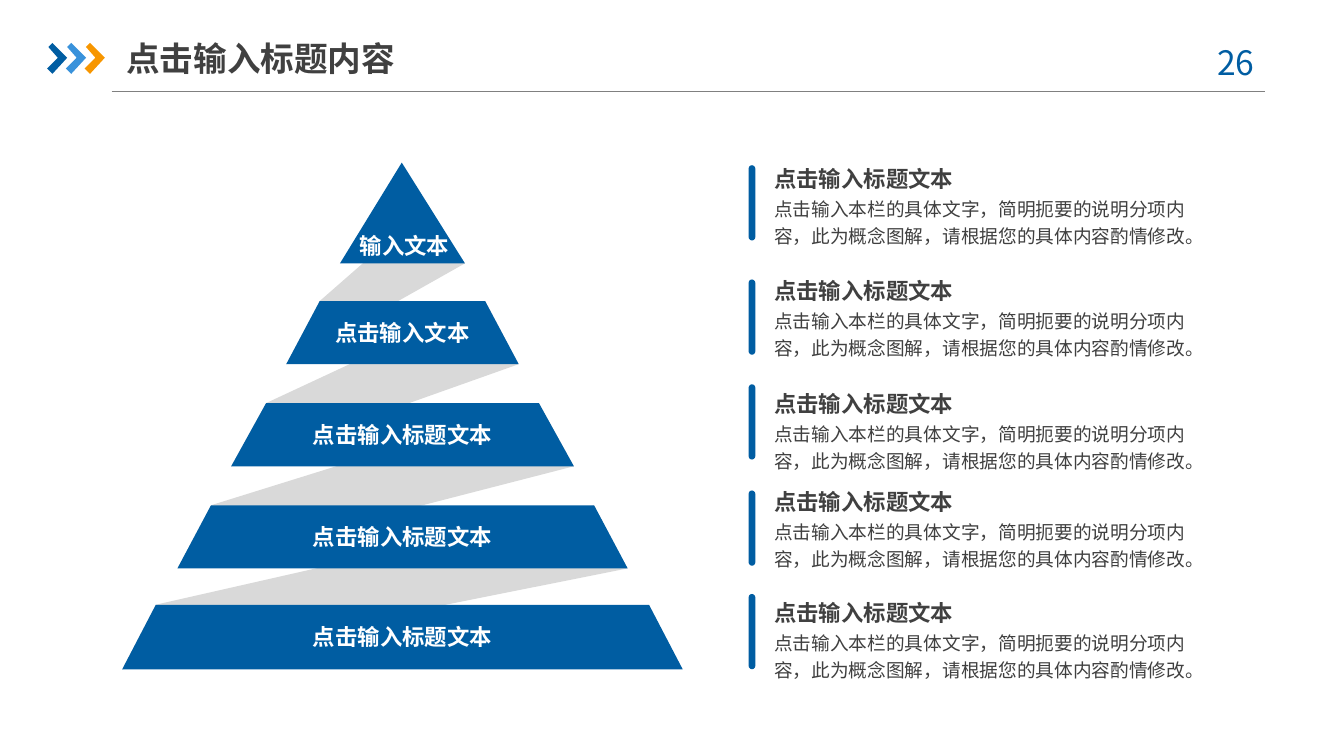
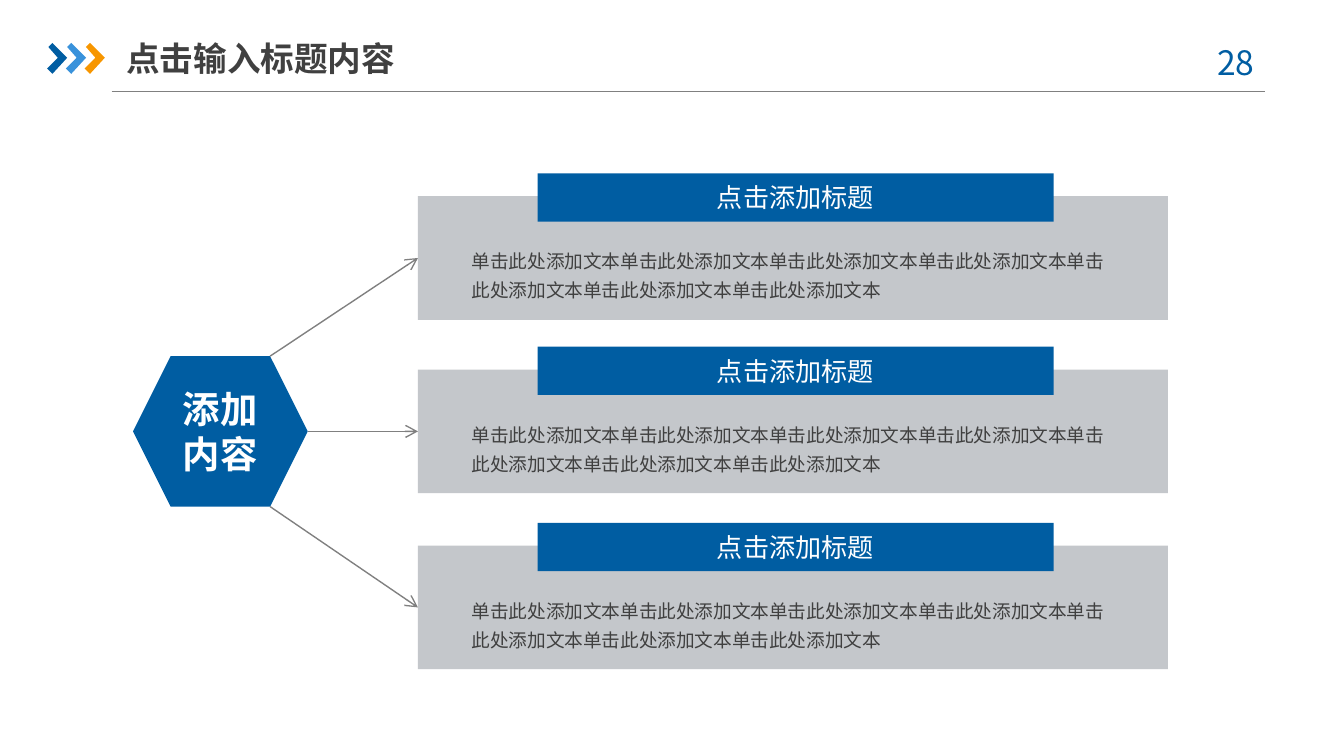
from collections import namedtuple
from dataclasses import dataclass

from lxml import etree
from pptx import Presentation
from pptx.dml.color import RGBColor
from pptx.enum.shapes import MSO_CONNECTOR as Connector, MSO_SHAPE as Preset
from pptx.enum.text import MSO_ANCHOR as Anchor, PP_ALIGN as Align
from pptx.oxml.ns import qn
from pptx.util import Inches, Pt


@dataclass(frozen=True)
class Theme:
    font: str = "Noto Sans CJK SC"
    blue: str = "005DA2"
    light_blue: str = "3992DB"
    orange: str = "F79600"
    ribbon: str = "D9D9D9"
    panel: str = "C4C7CB"
    line: str = "808080"
    ink: str = "404040"
    white: str = "FFFFFF"
    title: int = 18
    hub: int = 20
    banner: int = 14
    label: int = 12
    body: int = 10
    line_width: float = 0.75


THEME = Theme()
SLIDE_TITLE = "点击输入标题内容"

# Edges of a pyramid tier: left foot, left shoulder, shoulder height, foot height.
Tier = namedtuple("Tier", "foot shoulder top bottom label")
TIERS = [
    Tier(2.53, 2.81, 1.54, 1.96, "输入文本"),
    Tier(2.13, 2.38, 2.24, 2.71, "点击输入文本"),
    Tier(1.72, 1.98, 3.00, 3.47, "点击输入标题文本"),
    Tier(1.32, 1.57, 3.76, 4.23, "点击输入标题文本"),
    Tier(0.91, 1.16, 4.50, 4.98, "点击输入标题文本"),
]
APEX = (2.99, 1.21)

NOTE_TITLE = "点击输入标题文本"
NOTE_BODY = "点击输入本栏的具体文字，简明扼要的说明分项内容，此为概念图解，请根据您的具体内容酌情修改。"
NOTE_ROWS = [(1.23, 1.21), (2.08, 2.04), (2.86, 2.88), (3.65, 3.61), (4.42, 4.44)]

BANNER_TITLE = "点击添加标题"
BANNER_BODY = "单击此处添加文本" * 7
BANNER_TOPS = [1.29, 2.58, 3.89]
ARROW_STARTS = [(2.01, 2.65), (2.29, 3.21), (2.01, 3.77)]


def color(value):
    return RGBColor.from_string(value)


def mirror(x):
    """Reflect x across the pyramid's axis."""
    return 5.99 - x


def write_text(shape, text, size, ink, bold=False, align=Align.LEFT, anchor=Anchor.TOP,
               margins=(0.08, 0.04), spacing=None, wrap=True):
    frame = shape.text_frame
    frame.text = text
    frame.word_wrap = wrap
    frame.vertical_anchor = anchor
    frame.margin_left = frame.margin_right = Inches(margins[0])
    frame.margin_top = frame.margin_bottom = Inches(margins[1])
    paragraph = frame.paragraphs[0]
    paragraph.alignment = align
    if spacing:
        paragraph.line_spacing = spacing
    font = paragraph.runs[0].font
    font.name = THEME.font
    font.size = Pt(size)
    font.bold = bold
    font.color.rgb = color(ink)
    east_asian = etree.Element(qn("a:ea"), typeface=THEME.font)
    font._element.find(qn("a:latin")).addnext(east_asian)


def add_text(slide, box, text, size, ink, **style):
    shape = slide.shapes.add_textbox(*map(Inches, box))
    write_text(shape, text, size, ink, **style)


def paint(shape, fill):
    shape.shadow.inherit = False
    shape.fill.solid()
    shape.fill.fore_color.rgb = color(fill)
    shape.line.fill.background()


def add_preset(slide, preset, box, fill):
    shape = slide.shapes.add_shape(preset, *map(Inches, box))
    paint(shape, fill)
    return shape


def add_polygon(slide, points, fill):
    corners = [(Inches(x), Inches(y)) for x, y in points]
    builder = slide.shapes.build_freeform(*corners[0])
    builder.add_line_segments(corners[1:], close=True)
    paint(builder.convert_to_shape(), fill)


def add_line(slide, start, end):
    line = slide.shapes.add_connector(Connector.STRAIGHT, *map(Inches, start + end))
    line.line.color.rgb = color(THEME.line)
    line.line.width = Pt(THEME.line_width)
    etree.SubElement(line._element.spPr, qn("a:effectLst"))
    return line


def add_arrow(slide, start, target):
    """Draw an arrow from a point to the middle of the target's left side."""
    middle = (target.left.inches, target.top.inches + target.height.inches / 2)
    arrow = add_line(slide, start, middle)
    arrow.end_connect(target, 1)
    etree.SubElement(arrow.line._get_or_add_ln(), qn("a:tailEnd"), type="arrow")


def add_header(slide, number):
    add_line(slide, (0.83, 0.68), (9.41, 0.68))
    chevron = [(0.36, 0.35), (0.39, 0.32), (0.5, 0.43), (0.39, 0.55), (0.35, 0.51), (0.43, 0.43)]
    for index, fill in enumerate((THEME.blue, THEME.light_blue, THEME.orange)):
        add_polygon(slide, [(x + 0.14 * index, y) for x, y in chevron], fill)
    add_text(slide, (8.86, 0.26, 0.73, 0.4), f"{number} ", THEME.title, THEME.blue,
             align=Align.CENTER, margins=(0.1, 0.05))
    add_text(slide, (0.94, 0.22, 2.33, 0.42), SLIDE_TITLE, THEME.title, THEME.ink,
             bold=True, anchor=Anchor.MIDDLE, margins=(0, 0.05))


def add_ribbon(slide, upper, lower):
    add_polygon(slide, [
        (mirror(upper.shoulder), upper.top), (lower.shoulder, lower.top),
        (lower.foot, lower.bottom), (mirror(upper.foot), upper.bottom),
    ], THEME.ribbon)


def add_tier(slide, tier, is_peak):
    if is_peak:
        crown = [APEX]
        label_box = (2.55, 1.63, 0.92, 0.39)
    else:
        right_shoulder = mirror(tier.shoulder)
        crown = [(tier.shoulder, tier.top), (right_shoulder, tier.top)]
        label_box = (tier.shoulder, tier.top + 0.04, right_shoulder - tier.shoulder, 0.39)
    feet = [(mirror(tier.foot), tier.bottom), (tier.foot, tier.bottom)]
    add_polygon(slide, crown + feet, THEME.blue)
    add_text(slide, label_box, tier.label, THEME.label, THEME.white, bold=True,
             align=Align.CENTER, anchor=Anchor.MIDDLE, margins=(0, 0))


def add_note(slide, bar_top, text_top):
    bar = add_preset(slide, Preset.ROUND_2_SAME_RECTANGLE, (5.57, bar_top, 0.05, 0.56), THEME.blue)
    bar.adjustments[0] = bar.adjustments[1] = 0.5
    add_text(slide, (5.72, text_top + 0.21, 3.14, 0.42), NOTE_BODY, THEME.body, THEME.ink,
             align=Align.JUSTIFY, margins=(0.04, 0.02), spacing=1.2)
    add_text(slide, (5.72, text_top, 1.42, 0.24), NOTE_TITLE, THEME.label, THEME.ink,
             bold=True, margins=(0.04, 0.02), wrap=False)


def add_banner_panel(slide, top):
    panel = add_preset(slide, Preset.RECTANGLE, (3.11, top + 0.17, 5.58, 0.92), THEME.panel)
    banner = add_preset(slide, Preset.RECTANGLE, (4, top, 3.84, 0.36), THEME.blue)
    write_text(banner, BANNER_TITLE, THEME.banner, THEME.white,
               align=Align.CENTER, anchor=Anchor.MIDDLE)
    add_text(slide, (3.43, top + 0.48, 4.96, 0.49), BANNER_BODY, THEME.body, THEME.ink,
             spacing=1.3)
    return panel


def build_pyramid_slide(slide):
    add_header(slide, 26)
    for upper, lower in zip(TIERS, TIERS[1:]):
        add_ribbon(slide, upper, lower)
    for index, tier in enumerate(TIERS):
        add_tier(slide, tier, is_peak=index == 0)
    for bar_top, text_top in NOTE_ROWS:
        add_note(slide, bar_top, text_top)


def build_hub_slide(slide):
    add_header(slide, 28)
    hub = add_preset(slide, Preset.HEXAGON, (0.99, 2.65, 1.3, 1.12), THEME.blue)
    write_text(hub, "添加内容", THEME.hub, THEME.white, bold=True,
               align=Align.CENTER, anchor=Anchor.MIDDLE)
    for top, start in zip(BANNER_TOPS, ARROW_STARTS):
        add_arrow(slide, start, add_banner_panel(slide, top))


def main():
    presentation = Presentation()
    presentation.slide_width = Inches(10)
    presentation.slide_height = Inches(10 * 9 / 16)
    blank = presentation.slide_layouts[6]
    for build in (build_pyramid_slide, build_hub_slide):
        build(presentation.slides.add_slide(blank))
    presentation.save("out.pptx")


if __name__ == "__main__":
    main()
